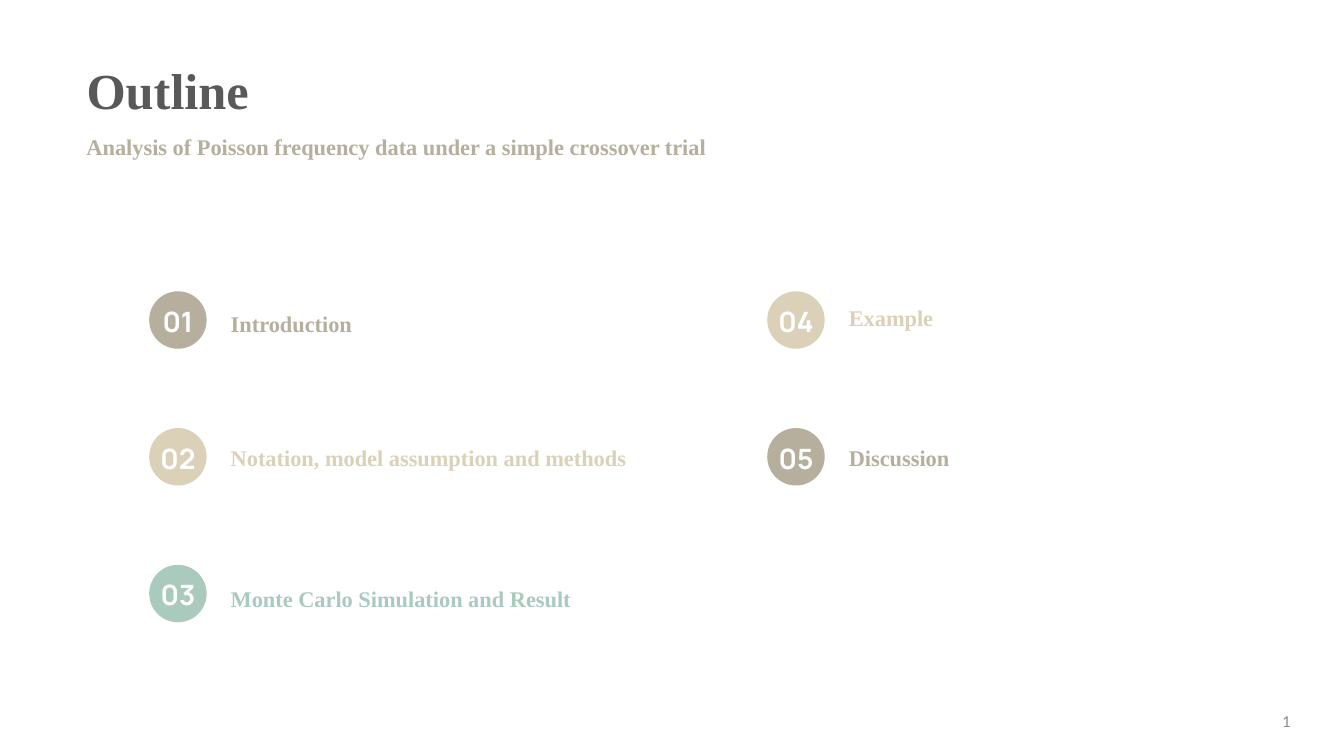
from dataclasses import dataclass
from typing import NamedTuple

from pptx import Presentation
from pptx.dml.color import RGBColor
from pptx.enum.shapes import MSO_SHAPE
from pptx.enum.text import MSO_ANCHOR, PP_ALIGN
from pptx.util import Inches, Pt

OVAL = MSO_SHAPE.OVAL
TOP, MIDDLE = MSO_ANCHOR.TOP, MSO_ANCHOR.MIDDLE
LEFT, CENTER, RIGHT = PP_ALIGN.LEFT, PP_ALIGN.CENTER, PP_ALIGN.RIGHT


@dataclass(frozen=True)
class Theme:
    dark: str = "595959"
    taupe: str = "B6AF9D"
    sand: str = "DBD1B8"
    mint: str = "AACABD"
    white: str = "FFFFFF"
    grey: str = "8C8C8C"
    serif: str = "Times New Roman"
    digits: str = "Manrope"
    sans: str = "Calibri"
    title: int = 36
    number: int = 20
    body: int = 16
    footer: int = 12


class Box(NamedTuple):
    left: float
    top: float
    width: float
    height: float

    def emu(self) -> list[int]:
        return [Inches(v) for v in self]


class Style(NamedTuple):
    font: str
    size: int
    color: str
    bold: bool = True
    align: int = LEFT
    anchor: int = TOP


class Topic(NamedTuple):
    column: int
    row: int
    text: str
    color: str
    width: float
    drop: float  # label top below the circle top


THEME = Theme()
SLIDE_W, SLIDE_H = 13.33, 7.5
GRID_LEFT, GRID_TOP = 1.48, 2.89
COLUMN_PITCH, ROW_PITCH = 6.13, 1.357
CIRCLE = 0.57
LABEL_SHIFT, LABEL_H = 0.71, 0.37
NUMBER_W, NUMBER_H, NUMBER_DROP = 0.68, 0.44, 0.08

TOPICS = [
    Topic(0, 0, "Introduction", THEME.taupe, 3.68, 0.14),
    Topic(0, 1, "Notation, model assumption and methods", THEME.sand, 5.15, 0.11),
    Topic(0, 2, "Monte Carlo Simulation and Result", THEME.mint, 4.47, 0.15),
    Topic(1, 0, "Example", THEME.sand, 2.42, 0.08),
    Topic(1, 1, "Discussion", THEME.taupe, 2.42, 0.11),
]


def add_text(s, box: Box, text: str, style: Style) -> None:
    tf = s.shapes.add_textbox(*box.emu()).text_frame
    tf.word_wrap = True
    tf.vertical_anchor = style.anchor
    p = tf.paragraphs[0]
    p.alignment = style.align
    r = p.add_run()
    r.text = text
    font_format = {"name": style.font, "size": Pt(style.size), "bold": style.bold}
    for name, value in font_format.items():
        setattr(r.font, name, value)
    r.font.color.rgb = RGBColor.from_string(style.color)


def add_topic(s, number: int, topic: Topic) -> None:
    left = GRID_LEFT + topic.column * COLUMN_PITCH
    top = GRID_TOP + topic.row * ROW_PITCH

    sp = s.shapes.add_shape(OVAL, *Box(left, top, CIRCLE, CIRCLE).emu())
    sp.shadow.inherit = False
    sp.fill.solid()
    sp.fill.fore_color.rgb = RGBColor.from_string(topic.color)
    sp.line.fill.background()

    label = Box(left + LABEL_SHIFT, top + topic.drop, topic.width, LABEL_H)
    add_text(s, label, topic.text, Style(THEME.serif, THEME.body, topic.color))

    number_left = left + (CIRCLE - NUMBER_W) / 2
    add_text(s, Box(number_left, top + NUMBER_DROP, NUMBER_W, NUMBER_H), f"{number:02d}",
             Style(THEME.digits, THEME.number, THEME.white, align=CENTER))


def main() -> None:
    prs = Presentation()
    prs.slide_width, prs.slide_height = Inches(SLIDE_W), Inches(SLIDE_H)
    s = prs.slides.add_slide(prs.slide_layouts[6])

    add_text(s, Box(0.76, 0.54, 6.28, 0.71), "Outline",
             Style(THEME.serif, THEME.title, THEME.dark))
    add_text(s, Box(0.76, 1.27, 6.64, LABEL_H),
             "Analysis of Poisson frequency data under a simple crossover trial",
             Style(THEME.serif, THEME.body, THEME.taupe))
    for number, topic in enumerate(TOPICS, start=1):
        add_topic(s, number, topic)
    add_text(s, Box(9.9, 6.95, 3, 0.4), "1",
             Style(THEME.sans, THEME.footer, THEME.grey, False, RIGHT, MIDDLE))

    prs.save("out.pptx")


if __name__ == "__main__":
    main()
